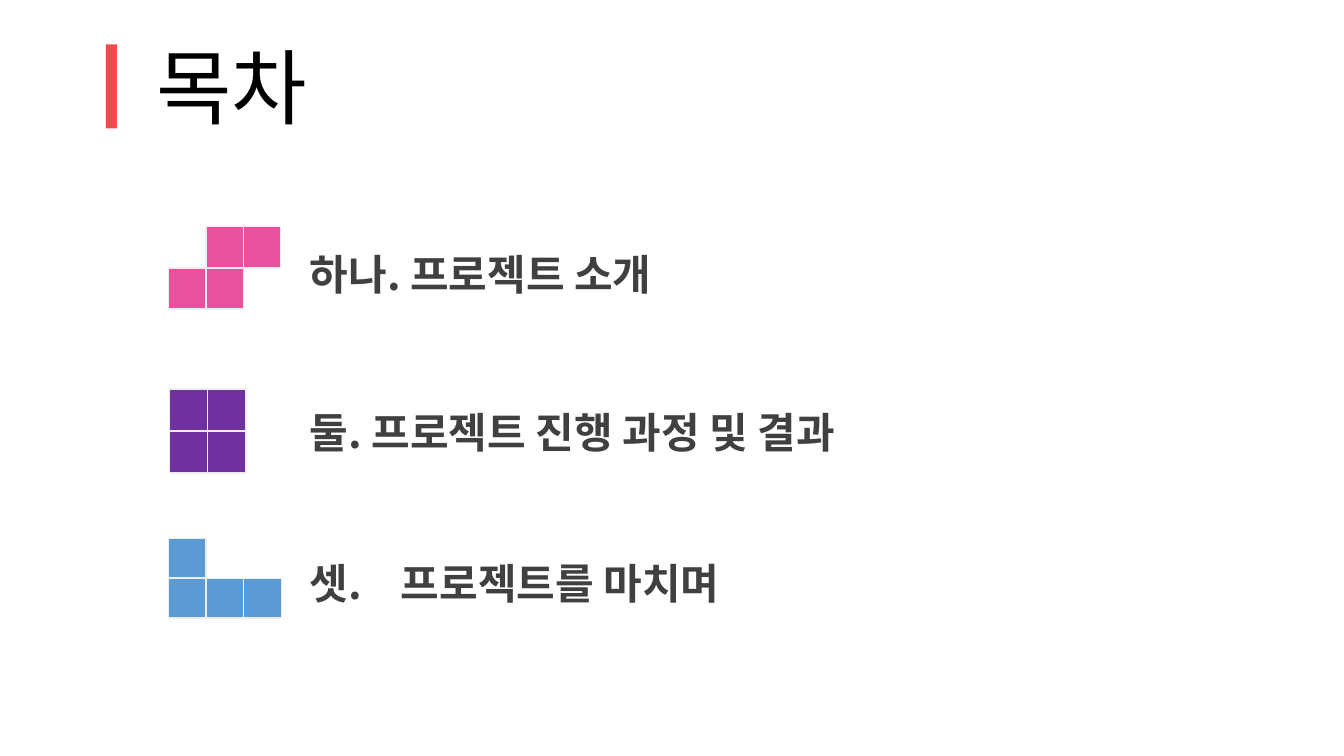
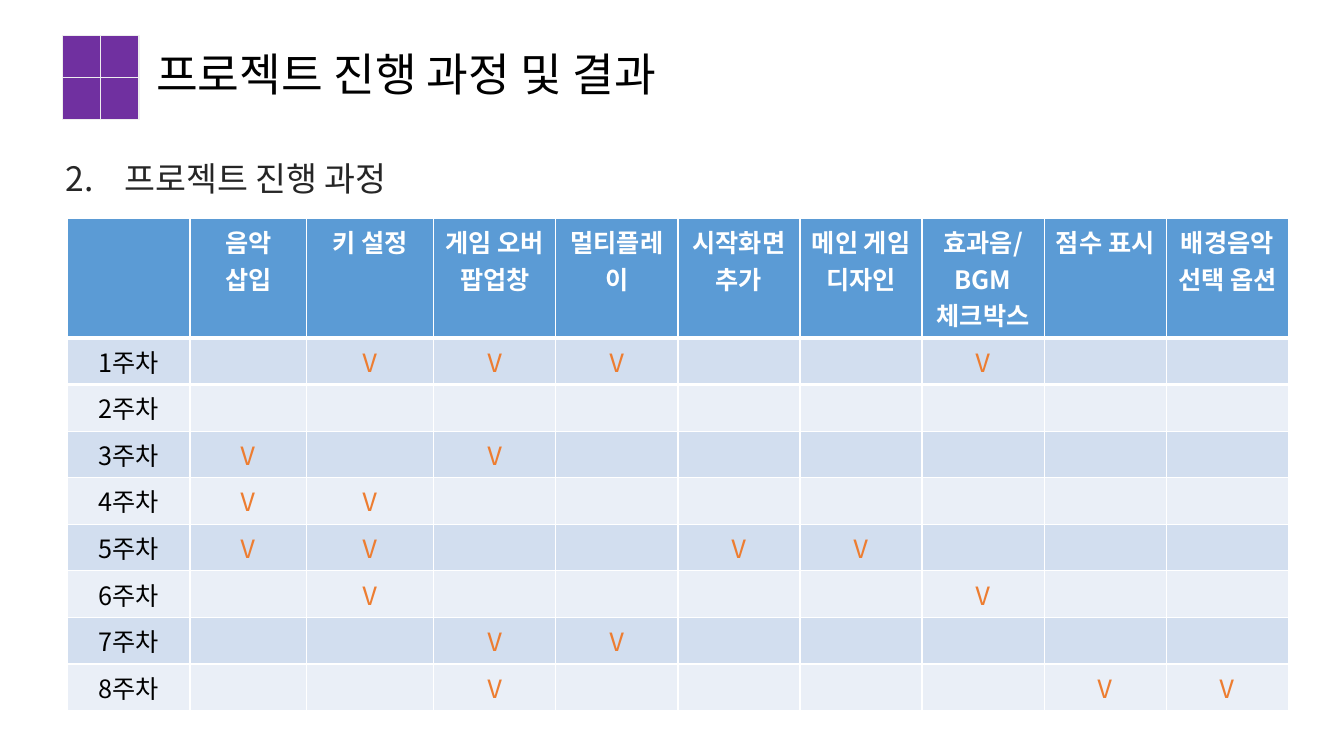
"""Build a contents slide and a weekly project schedule slide."""
from lxml import etree
from pptx import Presentation
from pptx import util as u
from pptx.dml import color
from pptx.enum import shapes, text
from pptx.oxml import ns

FONT = "Noto Sans CJK KR"
COLORS = {
    "black": "000000", "white": "FFFFFF", "body": "404040", "heading": "262626",
    "red": "F04A4A", "pink": "EA509D", "purple": "7030A0", "blue": "5B9BD5",
    "edge": "EEEEEE", "check": "ED7D31", "odd": "D2DEEF", "even": "EAEFF7",
}
PIECES = {
    "zigzag": ("pink", 26.7, 29.4, [".##", "##."]),
    "square": ("purple", 27.3, 30, ["##", "##"]),
    "hook": ("blue", 26.8, 28.5, ["#..", "###"]),
}
CONTENTS = [
    ("zigzag", 120.5, 162, 178, "하나. 프로젝트 소개"),
    ("square", 121, 278, 291, "둘. 프로젝트 진행 과정 및 결과"),
    ("hook", 120.5, 384.5, 399, "셋.\t프로젝트를 마치며"),
]
TASKS = ["음악 삽입", "키 설정", "게임 오버 팝업창", "멀티플레이", "시작화면 추가",
         "메인 게임 디자인", "효과음/BGM 체크박스", "점수 표시", "배경음악 선택 옵션"]
WEEK_CHECKS = [(2, 3, 4, 7), (), (1, 3), (1, 2), (1, 2, 5, 6), (2, 7), (3, 4), (3, 8, 9)]
COLUMN_WIDTHS = [87.2, 83.5, 90.7] + [87.2] * 7


def rgb(name):
    return color.RGBColor.from_string(COLORS[name])


def write(para, words, size, ink, bold=False):
    span = para.add_run()
    span.text = words
    span.font.size = u.Pt(size)
    span.font.name = FONT
    span.font.bold = bold
    span.font.color.rgb = rgb(ink)
    etree.SubElement(span.font._element, ns.qn("a:ea"), typeface=FONT)


def add_text(page, words, left, top, width, height, size, ink="black", bold=False,
             anchor=text.MSO_ANCHOR.TOP, spacing=0.9, inset=True):
    box = page.shapes.add_textbox(u.Pt(left), u.Pt(top), u.Pt(width), u.Pt(height))
    frame = box.text_frame
    frame.word_wrap = True
    frame.vertical_anchor = anchor
    if not inset:
        frame.margin_left = frame.margin_right = frame.margin_top = frame.margin_bottom = 0
    para = frame.paragraphs[0]
    para.line_spacing = spacing
    write(para, words, size, ink, bold)
    return para


def add_title(page, words, top, width, height, size):
    add_text(page, words, 104.5, top, width, height, size, anchor=text.MSO_ANCHOR.BOTTOM)


def set_tab(para, position):
    stops = etree.SubElement(para._p.get_or_add_pPr(), ns.qn("a:tabLst"))
    etree.SubElement(stops, ns.qn("a:tab"), pos=str(u.Pt(position)), algn="l")


def set_number(para, start, indent):
    props = para._p.get_or_add_pPr()
    props.set("marL", str(u.Pt(indent)))
    props.set("indent", str(-u.Pt(indent)))
    etree.SubElement(props, ns.qn("a:buFont"), typeface=FONT)
    etree.SubElement(props, ns.qn("a:buAutoNum"), type="arabicPeriod", startAt=str(start))


def add_block(parent, left, top, width, height, fill, edge=None):
    block = parent.add_shape(shapes.MSO_SHAPE.RECTANGLE, u.Pt(left), u.Pt(top),
                             u.Pt(width), u.Pt(height))
    block.shadow.inherit = False
    block.fill.solid()
    block.fill.fore_color.rgb = rgb(fill)
    if edge:
        block.line.color.rgb = rgb(edge)
        block.line.width = u.Pt(1)
    else:
        block.line.fill.background()


def add_piece(page, name, left, top):
    fill, width, height, pattern = PIECES[name]
    group = page.shapes.add_group_shape()
    for row, marks in enumerate(pattern):
        for column, mark in enumerate(marks):
            if mark == "#":
                add_block(group.shapes, left + column * width, top + row * height,
                          width, height, fill, "edge")


def set_border(cell, side, width):
    line = etree.Element(ns.qn(f"a:ln{side}"), w=str(u.Pt(width)))
    paint = etree.SubElement(line, ns.qn("a:solidFill"))
    etree.SubElement(paint, ns.qn("a:srgbClr"), val=COLORS["white"])
    cell._tc.get_or_add_tcPr().insert(0, line)


def fill_cell(cell, fill, words="", ink="black", bold=False):
    cell.fill.solid()
    cell.fill.fore_color.rgb = rgb(fill)
    if words:
        para = cell.text_frame.paragraphs[0]
        para.alignment = text.PP_ALIGN.CENTER
        write(para, words, 18, ink, bold)


def add_schedule(page, left, top, header_height, row_height):
    rows = len(WEEK_CHECKS) + 1
    height = header_height + row_height * len(WEEK_CHECKS)
    table = page.shapes.add_table(rows, len(COLUMN_WIDTHS), u.Pt(left), u.Pt(top),
                                  u.Pt(sum(COLUMN_WIDTHS)), u.Pt(height)).table
    for column, width in zip(table.columns, COLUMN_WIDTHS):
        column.width = u.Pt(width)
    for index, row in enumerate(table.rows):
        row.height = u.Pt(row_height if index else header_height)
    for column, task in enumerate([""] + TASKS):
        fill_cell(table.cell(0, column), "blue", task, "white", True)
        set_border(table.cell(0, column), "B", 3)
        set_border(table.cell(1, column), "T", 3)
    for week, checks in enumerate(WEEK_CHECKS, 1):
        band = "odd" if week % 2 else "even"
        fill_cell(table.cell(week, 0), band, f"{week}주차")
        for column in range(1, len(COLUMN_WIDTHS)):
            fill_cell(table.cell(week, column), band, "Ⅴ" if column in checks else "", "check")


def build_contents(page):
    add_title(page, "목차", 12.5, 512, 88.5, 58.6)
    add_block(page.shapes, 75.6, 31.7, 8, 60, "red")
    for piece, left, top, text_top, words in CONTENTS:
        para = add_text(page, words, 214.3, text_top, 453, 50, 30, "body", True)
        if "\t" in words:
            set_tab(para, 65)
        add_piece(page, piece, left, top)


def build_schedule(page):
    add_piece(page, "square", 44.7, 25.5)
    add_title(page, "프로젝트 진행 과정 및 결과", 31.5, 449, 44.5, 32.4)
    heading = add_text(page, "프로젝트 진행 과정", 46.8, 98.6, 353.5, 44.6, 24, "heading",
                       spacing=1.5, inset=False)
    set_number(heading, 2, 42)
    add_schedule(page, 48.5, 156, 85.4, 33.3)


def main():
    deck = Presentation()
    deck.slide_width, deck.slide_height = u.Pt(960), u.Pt(540)
    for build in (build_contents, build_schedule):
        build(deck.slides.add_slide(deck.slide_layouts[6]))
    deck.save("out.pptx")


if __name__ == "__main__":
    main()
